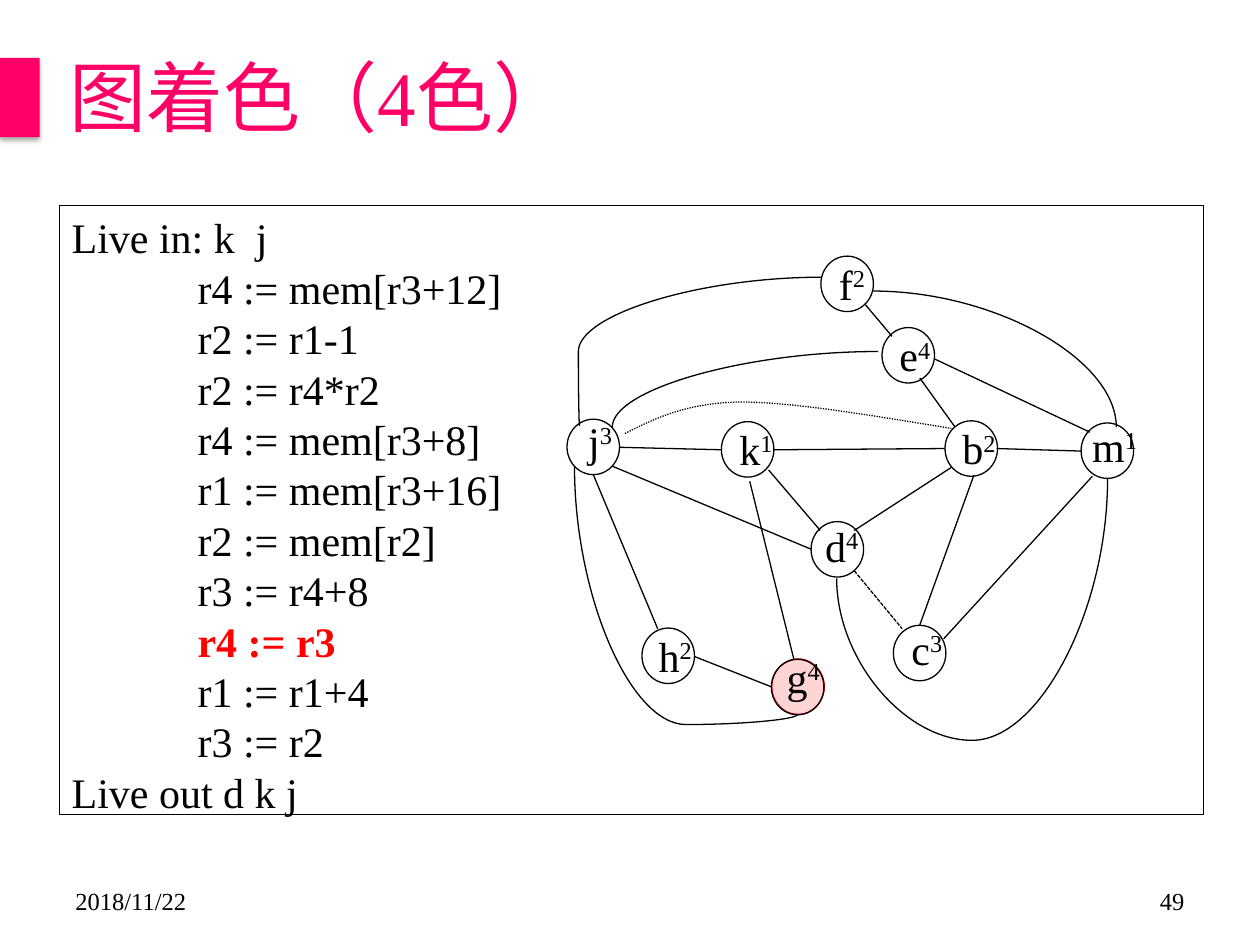
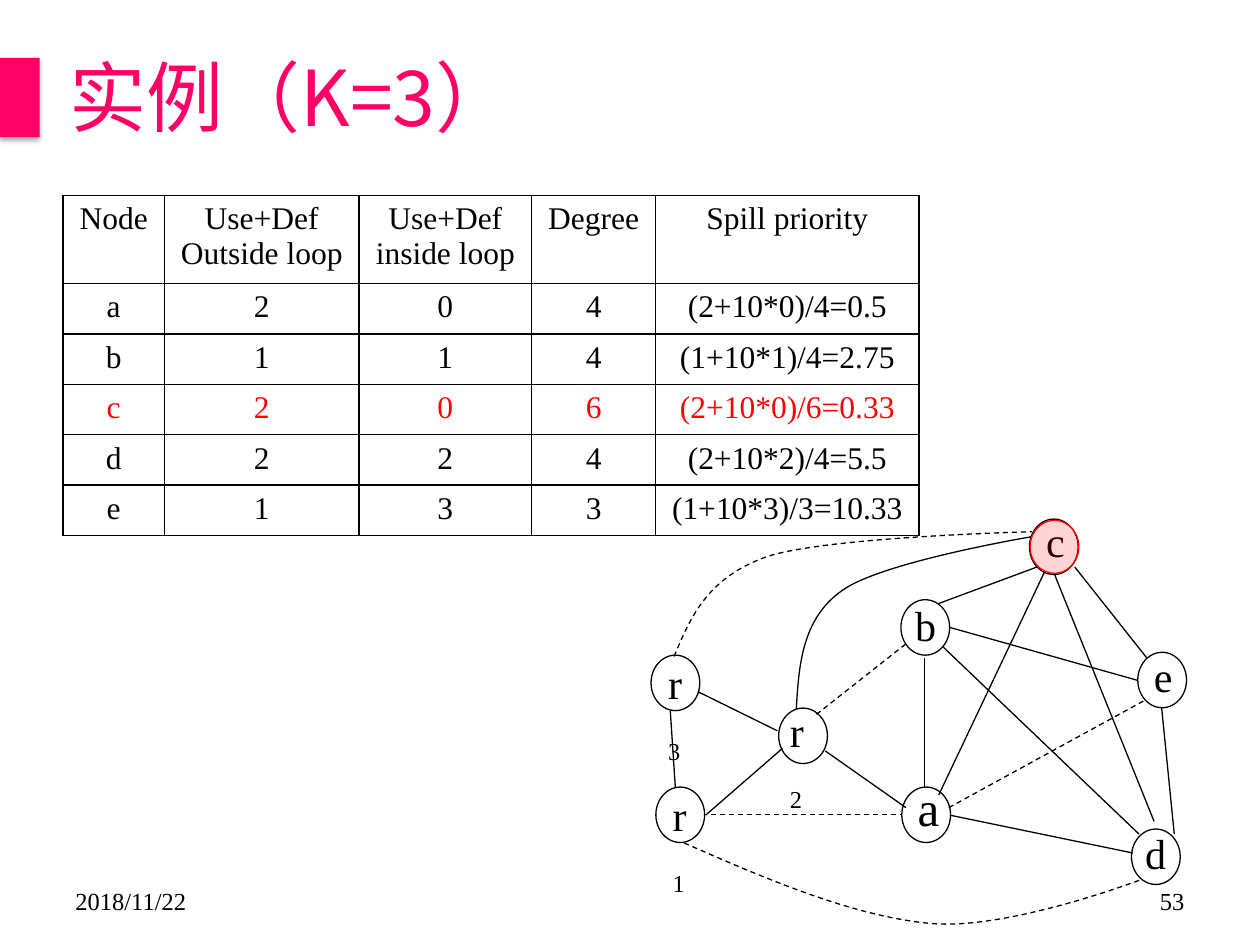
from dataclasses import dataclass

from lxml.etree import SubElement
from pptx import Presentation
from pptx.dml.color import RGBColor
from pptx.enum.dml import MSO_LINE
from pptx.enum.shapes import MSO_CONNECTOR, MSO_SHAPE
from pptx.enum.text import MSO_ANCHOR, MSO_AUTO_SIZE, PP_ALIGN
from pptx.oxml.ns import qn
from pptx.util import Inches, Pt

COLS, ROWS = 100, 75  # the slide as a grid of square cells


@dataclass(frozen=True)
class Theme:
    ink: str = "000000"
    accent: str = "FF0066"
    alert: str = "FF0000"
    font: str = "Times New Roman"
    cjk: str = "Noto Sans CJK SC"
    title: float = 44
    big: float = 28
    body: float = 24
    table: float = 18
    footer: float = 14
    leading: float = 28.8
    line: float = 0.75
    border: float = 1


def sub(parent, tag, **attrs):
    return SubElement(parent, qn(tag), {k: str(v) for k, v in attrs.items()})


def assign(obj, values):
    for name, value in values.items():
        setattr(obj, name, value)


class Deck:
    def __init__(self, theme):
        self.theme = theme
        self.prs = Presentation()
        self.s = None
        assign(self.prs, {"slide_width": Inches(10), "slide_height": Inches(7.5)})
        self.cell_w = self.prs.slide_width / COLS
        self.cell_h = self.prs.slide_height / ROWS

    def grid(self, *lengths):
        """Lengths in EMU; columns and rows take turns."""
        return [round(n * (self.cell_h if i % 2 else self.cell_w))
                for i, n in enumerate(lengths)]

    def slide(self, title, number, title_font=None):
        t = self.theme
        self.s = self.prs.slides.add_slide(self.prs.slide_layouts[5])
        sp = self.s.shapes.title
        self.place(sp, 3.1, 0, 96.9, 15.5)
        tf = self.frame(sp, (2.4, 0.5, 1, 0.8), MSO_ANCHOR.MIDDLE)
        tf.paragraphs[0].alignment = PP_ALIGN.LEFT
        self.run(tf.paragraphs[0], title, t.title, t.accent, font=title_font)
        self.title_mark()
        self.text("2018/11/22", (5, 69.5, 23.3, 4), t.footer, anchor=MSO_ANCHOR.MIDDLE)
        self.text(number, (71.7, 69.5, 23.3, 4), t.footer, anchor=MSO_ANCHOR.MIDDLE,
                  align=PP_ALIGN.RIGHT)

    def place(self, sp, *box):
        assign(sp, dict(zip(("left", "top", "width", "height"), self.grid(*box))))

    def frame(self, sp, insets=(1, 0.5, 1, 0.5), anchor=MSO_ANCHOR.TOP):
        tf = sp.text_frame
        sides = ("margin_left", "margin_top", "margin_right", "margin_bottom")
        assign(tf, dict(zip(sides, self.grid(*insets))))
        assign(tf, {"word_wrap": True, "auto_size": MSO_AUTO_SIZE.NONE,
                    "vertical_anchor": anchor})
        return tf

    def run(self, p, text, size, color=None, bold=False, font=None, baseline=0):
        t = self.theme
        r = p.add_run()
        r.text = text
        assign(r.font, {"name": font or t.font, "size": Pt(size), "bold": bold})
        r.font.color.rgb = RGBColor.from_string(color or t.ink)
        rPr = r.font._element
        sub(rPr, "a:ea", typeface=t.cjk)
        if baseline:
            rPr.set("baseline", str(baseline * 1000))

    def text(self, text, box, size, anchor=MSO_ANCHOR.TOP, align=PP_ALIGN.LEFT):
        tf = self.frame(self.s.shapes.add_textbox(*self.grid(*box)), anchor=anchor)
        p = tf.paragraphs[0]
        p.alignment = align
        self.run(p, text, size)
        return p

    def stroke(self, sp, color=None, dash=None):
        sp.line.color.rgb = RGBColor.from_string(color or self.theme.ink)
        sp.line.width = Pt(self.theme.line)
        if dash:
            sp.line.dash_style = dash

    def title_mark(self):
        sp = self.s.shapes.add_shape(MSO_SHAPE.RECTANGLE, *self.grid(0, 4.6, 3.15, 6.3))
        sp.fill.solid()
        sp.fill.fore_color.rgb = RGBColor.from_string(self.theme.accent)
        sp.line.fill.background()
        shadow = sub(sub(sp._element.spPr, "a:effectLst"), "a:outerShdw", blurRad=Pt(3.1),
                     dist=Pt(1.8), dir=5400000, algn="ctr", rotWithShape=0)
        sub(sub(shadow, "a:srgbClr", val=self.theme.ink), "a:alpha", val=35000)

    def listing(self, lines, box, marked, tab=10):
        """Framed code; the marked line stands out in the alert colour."""
        t = self.theme
        sp = self.s.shapes.add_textbox(*self.grid(*box))
        self.stroke(sp)
        tf = self.frame(sp)
        for i, line in enumerate(lines):
            p = tf.add_paragraph() if i else tf.paragraphs[0]
            p.line_spacing = Pt(t.leading)
            tabs = sub(p._p.get_or_add_pPr(), "a:tabLst")
            sub(tabs, "a:tab", pos=self.grid(tab)[0], algn="l")
            hit = line.strip() == marked
            self.run(p, line, t.body, t.alert if hit else t.ink, bold=hit)

    def ellipse(self, box, color=None, tint=False):
        sp = self.s.shapes.add_shape(MSO_SHAPE.OVAL, *self.grid(*box))
        sp.shadow.inherit = False
        self.stroke(sp, color)
        if tint:
            sp.fill.solid()
            sp.fill.fore_color.rgb = RGBColor.from_string(color)
            clr = sp._element.spPr.find(qn("a:solidFill"))[0]
            sub(clr, "a:alpha", val=17000)
        else:
            sp.fill.background()

    def node(self, name, at, label_at, width, label_width, index="", baseline=0, size=None):
        size = size or self.theme.body
        self.ellipse((*at, width, 4.4))
        p = self.text(name, (*label_at, label_width, 5), size)
        if index:
            self.run(p, index, size, baseline=baseline)

    def connector(self, kind, start, end, dash=None):
        c = self.s.shapes.add_connector(kind, *self.grid(*start, *end))
        self.stroke(c, dash=dash)
        sub(c._element.spPr, "a:effectLst")
        return c

    def edges(self, ends, dash=None):
        for x1, y1, x2, y2 in ends:
            self.connector(MSO_CONNECTOR.STRAIGHT, (x1, y1), (x2, y2), dash)

    def bend(self, start, end, bends, adjust=None, turn=0):
        """Curved connector; turn is its clockwise rotation in degrees."""
        (x1, y1), (x2, y2) = start, end
        cx, cy, dx, dy = (x1 + x2) / 2, (y1 + y2) / 2, (x2 - x1) / 2, (y2 - y1) / 2
        dx, dy = {0: (dx, dy), 90: (dy, -dx), 270: (-dy, dx)}[turn]
        c = self.connector(MSO_CONNECTOR.CURVE, (cx - dx, cy - dy), (cx + dx, cy + dy))
        spPr = c._element.spPr
        spPr.find(qn("a:xfrm")).set("rot", str(turn * 60000))
        geom = spPr.find(qn("a:prstGeom"))
        geom.set("prst", f"curvedConnector{bends}")
        if adjust:
            sub(geom.find(qn("a:avLst")), "a:gd", name="adj1", fmla=f"val {adjust * 1000:.0f}")

    def curve(self, points, dash=None):
        """Open Bezier path: a start, then three points for each segment."""
        start, *rest = [self.grid(*pt) for pt in points]
        fb = self.s.shapes.build_freeform(*start)
        fb.add_line_segments(rest, close=False)
        sp = fb.convert_to_shape()
        sp.shadow.inherit = False
        sp.fill.background()
        self.stroke(sp, dash=dash)
        path = next(sp._element.iter(qn("a:path")))
        steps = path.findall(qn("a:lnTo"))
        for i in range(0, len(steps), 3):
            bezier = sub(path, "a:cubicBezTo")
            for step in steps[i:i + 3]:
                bezier.append(step[0])
                path.remove(step)

    def table(self, rows, at, widths, heights, marked):
        t = self.theme
        size = (sum(widths), sum(heights))
        tbl = self.s.shapes.add_table(len(rows), len(widths), *self.grid(*at, *size)).table
        assign(tbl, {"first_row": False, "horz_banding": False})
        for col, width in zip(tbl.columns, self.grid(*widths)):
            col.width = width
        for row, height, values in zip(tbl.rows, self.grid(*heights), rows):
            row.height = height
            color = t.alert if values[0] == marked else t.ink
            for cell, value in zip(row.cells, values):
                self.borders(cell)
                cell.fill.background()
                for i, line in enumerate(value.split("\n")):
                    tf = cell.text_frame
                    p = tf.add_paragraph() if i else tf.paragraphs[0]
                    p.alignment = PP_ALIGN.CENTER
                    self.run(p, line, t.table, color)

    def borders(self, cell):
        tcPr = cell._tc.get_or_add_tcPr()
        for side in "LRTB":
            ln = sub(tcPr, f"a:ln{side}", w=Pt(self.theme.border))
            sub(sub(ln, "a:solidFill"), "a:srgbClr", val=self.theme.ink)


def coloring_slide(d):
    d.slide("图着色（4色）", "49")
    code = ["r4 := mem[r3+12]", "r2 := r1-1", "r2 := r4*r2", "r4 := mem[r3+8]",
            "r1 := mem[r3+16]", "r2 := mem[r2]", "r3 := r4+8", "r4 := r3",
            "r1 := r1+4", "r3 := r2"]
    lines = ["Live in: k  j", *("\t" + line for line in code), "Live out d k j"]
    d.listing(lines, (4.7, 16.33, 90.8, 48.3), "r4 := r3")

    d.ellipse((61.25, 52.3, 4.17, 4.4), d.theme.alert, tint=True)
    nodes = [("f", "2", (65.15, 20.33), (65.6, 20)), ("e", "4", (70, 26), (70.4, 25.7)),
             ("b", "2", (75, 33.4), (75.4, 33.05)), ("m", "1", (85.8, 33.57), (85.7, 32.85)),
             ("k", "1", (57.25, 33.47), (57.7, 33.1)), ("g", "4", (61.22, 52.33), (61.45, 51.2)),
             ("h", "2", (50.95, 49.85), (51.3, 49.55)), ("j", "3", (45, 33.27), (45.7, 32.45)),
             ("c", "3", (70.9, 49.63), (71.35, 49)), ("d", "4", (64.37, 41.4), (64.5, 40.8))]
    for name, color, at, label_at in nodes:
        d.node(name, at, label_at, 4.17, 6, color, baseline=30)

    d.edges([(68.7, 24.2, 70.8, 26.7), (73, 30, 75.8, 33.9), (74.2, 28.5, 86.5, 34.3),
             (79.1, 35.6, 85.8, 35.8), (49.2, 35.5, 57.3, 35.7), (61.4, 35.7, 75, 35.6),
             (61, 37.3, 65.1, 42.1), (59.5, 38.2, 63, 52.3), (47.1, 37.7, 52.2, 49.9),
             (67.8, 42.1, 75.5, 37.1), (77.3, 37.7, 73, 49.6), (74.9, 50.7, 86.7, 37.8),
             (48.6, 37, 64.4, 43.6), (55.1, 52.1, 61.2, 54.5)])
    d.edges([(67.8, 45.3, 71.6, 49.9)], MSO_LINE.SQUARE_DOT)
    d.bend((69.3, 23.1), (88.6, 33.9), 2)
    d.bend((65.2, 22), (46, 33.8), 3, 100.5)
    d.bend((69.7, 27.9), (48.6, 33.9), 2)
    d.bend((45.6, 37), (63.3, 56.7), 3, 104.1, turn=270)
    d.bend((87.9, 38), (66.4, 45.9), 3, 262.7, turn=90)
    d.curve([(49.6, 34.4), (52, 33.2), (54.4, 32), (58.7, 31.9), (63, 31.9), (69.3, 33),
             (75.5, 34)], MSO_LINE.ROUND_DOT)


def spill_slide(d):
    d.slide("实例（K=3）", "53", d.theme.cjk)
    nodes = [("r", "3", (51.67, 52), (52.05, 51.7)), ("r", "1", (52.05, 62.47), (52.4, 62.15)),
             ("r", "2", (61.8, 56.2), (61.7, 55.5)), ("c", "", (81.7, 41.2), (82.05, 40.4)),
             ("d", "", (89.8, 65.8), (89.9, 65.2)), ("b", "", (71.5, 47.6), (71.65, 47.1)),
             ("e", "", (90.3, 51.77), (90.6, 51.1))]
    for name, index, at, label_at in nodes:
        d.node(name, at, label_at, 3.87, 3.9, index, baseline=-25)
    d.node("a", (71.57, 62.47), (71.85, 61.2), 3.87, 3.9, size=d.theme.big)

    d.edges([(55.4, 54.9, 61.7, 58), (53.2, 56.4, 53.6, 62.5), (56, 64.7, 62.1, 59.4),
             (73.4, 52.2, 73.4, 62.5), (75.4, 64.7, 89.9, 67.7), (93.2, 66.2, 92.2, 56.2),
             (75.4, 49.8, 90.3, 54), (74.8, 51.3, 90.4, 66.2), (74.5, 63.1, 82.9, 45.4),
             (74.5, 47.9, 82.3, 45), (85.3, 45, 91, 52.2), (83.7, 45.6, 91.6, 65.2),
             (65.5, 59.6, 71.9, 64.1)])
    d.edges([(64.8, 56.7, 71.9, 51.1), (56.4, 64.65, 71.6, 64.65), (75.3, 64.1, 91, 55.5)],
            MSO_LINE.DASH)
    d.curve([(63.2, 56.3), (63.4, 52.7), (63.7, 49.1), (66.8, 46.9), (69.9, 44.6),
             (81.9, 42.6), (81.9, 42.6)])
    d.curve([(53.5, 52.1), (54.8, 49), (56.1, 45.9), (60.8, 44.2), (65.5, 42.6),
             (81.9, 42.2), (81.9, 42.2)], MSO_LINE.DASH)
    d.curve([(54.3, 66.9), (61.1, 69.9), (68, 72.8), (74, 73.3), (80.1, 73.8),
             (90.6, 69.8), (90.6, 69.8)], MSO_LINE.DASH)

    rows = [("Node", "Use+Def\nOutside loop", "Use+Def\ninside loop", "Degree",
             "Spill priority"),
            ("a", "2", "0", "4", "(2+10*0)/4=0.5"),
            ("b", "1", "1", "4", "(1+10*1)/4=2.75"),
            ("c", "2", "0", "6", "(2+10*0)/6=0.33"),
            ("d", "2", "2", "4", "(2+10*2)/4=5.5"),
            ("e", "1", "3", "3", "(1+10*3)/3=10.33")]
    d.table(rows, (5, 15.5), (8.05, 15.45, 13.7, 9.85, 20.9), (7, *[4] * 5), "c")
    d.ellipse((81.75, 41.3, 3.87, 4.2), d.theme.alert, tint=True)


def main():
    d = Deck(Theme())
    coloring_slide(d)
    spill_slide(d)
    d.prs.save("out.pptx")


if __name__ == "__main__":
    main()
